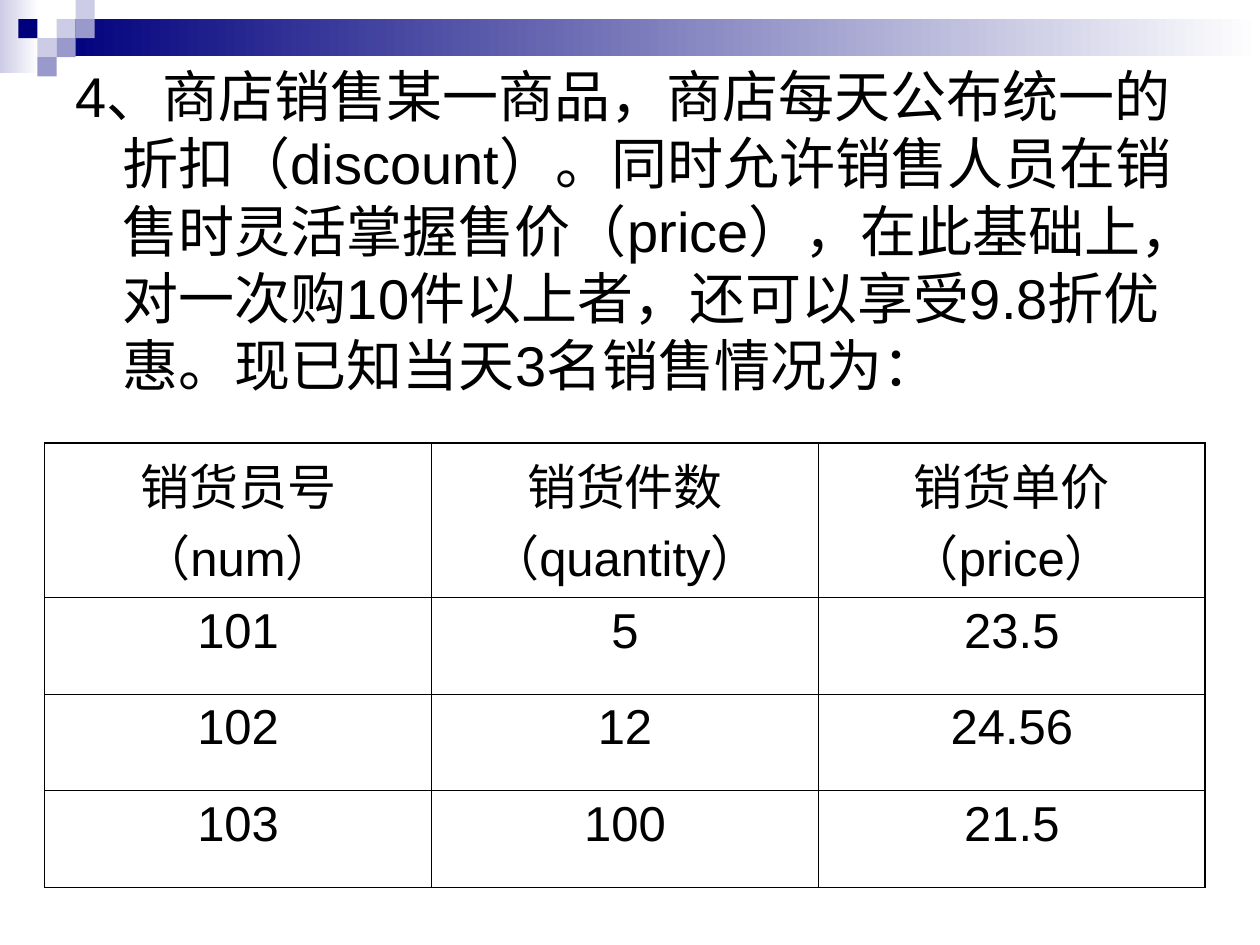
from lxml import etree
from pptx import Presentation
from pptx.dml.color import RGBColor
from pptx.enum.shapes import MSO_SHAPE
from pptx.enum.text import PP_ALIGN
from pptx.oxml.ns import qn
from pptx.util import Pt

RECTANGLE = MSO_SHAPE.RECTANGLE
CENTER = PP_ALIGN.CENTER
FONT = "Arial"
COLORS = {"navy": "00007D", "mid": "9999CC", "pale": "CCCCE6",
          "white": "FFFFFF", "black": "000000"}

PROBLEM = ("4、商店销售某一商品，商店每天公布统一的折扣（discount）。"
           "同时允许销售人员在销售时灵活掌握售价（price），在此基础上，"
           "对一次购10件以上者，还可以享受9.8折优惠。现已知当天3名销售情况为：")
SALES = [
    ("销货员号（num）", "销货件数（quantity）", "销货单价（price）"),
    ("101", "5", "23.5"),
    ("102", "12", "24.56"),
    ("103", "100", "21.5"),
]
BANDS = [("pale", 0, 0, 22.3, 41.8), ("navy", 32.4, 10.8, 687.6, 21.4)]
SQUARE = 10.9
SQUARES = [("pale", 3, 1), ("pale", 4, 0), ("mid", 4, 1), ("pale", 2, 2),
           ("navy", 1, 1), ("mid", 3, 2), ("mid", 2, 3)]
TABLE_LEFT, TABLE_TOP = 25.5, 253.1
COLUMN_WIDTH = 221.1
ROW_HEIGHTS = [88.4, 55.2, 55.2, 55.2]
OUTER, INNER = 1.08, 0.45


def rgb(name):
    return RGBColor.from_string(COLORS[name])


def add_block(slide, left, top, width, height):
    block = slide.shapes.add_shape(RECTANGLE, Pt(left), Pt(top), Pt(width), Pt(height))
    block.shadow.inherit = False
    block.line.fill.background()
    return block


def style(paragraph, size, before):
    paragraph.font.name = FONT
    paragraph.font.size = Pt(size)
    paragraph.font.color.rgb = rgb("black")
    paragraph.space_before = Pt(before)


def set_borders(cell, widths):
    properties = cell._tc.get_or_add_tcPr()
    for index, (side, width) in enumerate(widths.items()):
        line = etree.Element(qn(f"a:ln{side}"), w=str(Pt(width)))
        fill = etree.SubElement(line, qn("a:solidFill"))
        etree.SubElement(fill, qn("a:srgbClr"), val=COLORS["black"])
        properties.insert(index, line)


def add_header(slide):
    for color, *box in BANDS:
        fill = add_block(slide, *box).fill
        fill.gradient()
        fill.gradient_angle = 0
        for stop, name, position in zip(fill.gradient_stops, (color, "white"), (0, 1)):
            stop.color.rgb = rgb(name)
            stop.position = position
    for color, column, row in SQUARES:
        square = add_block(slide, column * SQUARE - 0.4, row * SQUARE, SQUARE, SQUARE)
        square.fill.solid()
        square.fill.fore_color.rgb = rgb(color)


def add_problem(slide):
    frame = slide.shapes.add_textbox(Pt(36), Pt(31.7), Pt(648), Pt(430)).text_frame
    frame.word_wrap = True
    paragraph = frame.paragraphs[0]
    paragraph.text = PROBLEM
    style(paragraph, 32, 8)
    properties = paragraph._p.get_or_add_pPr()
    properties.set("marL", str(Pt(27)))
    properties.set("indent", str(Pt(-27)))


def add_sales(slide):
    rows, columns = len(SALES), len(SALES[0])
    table = slide.shapes.add_table(
        rows, columns, Pt(TABLE_LEFT), Pt(TABLE_TOP),
        Pt(columns * COLUMN_WIDTH), Pt(sum(ROW_HEIGHTS))).table
    table.first_row = table.horz_banding = False
    for column in table.columns:
        column.width = Pt(COLUMN_WIDTH)
    for r, (values, height) in enumerate(zip(SALES, ROW_HEIGHTS)):
        table.rows[r].height = Pt(height)
        for c, value in enumerate(values):
            cell = table.cell(r, c)
            cell.fill.background()
            cell.text = value
            paragraph = cell.text_frame.paragraphs[0]
            paragraph.alignment = CENTER
            style(paragraph, 28, 7)
            set_borders(cell, {"L": OUTER if c == 0 else INNER,
                               "R": OUTER if c == columns - 1 else INNER,
                               "T": OUTER if r == 0 else INNER,
                               "B": OUTER if r == rows - 1 else INNER})


def main():
    presentation = Presentation()
    presentation.slide_width, presentation.slide_height = Pt(720), Pt(540)
    slide = presentation.slides.add_slide(presentation.slide_layouts[6])
    add_header(slide)
    add_problem(slide)
    add_sales(slide)
    presentation.save("out.pptx")


if __name__ == "__main__":
    main()
